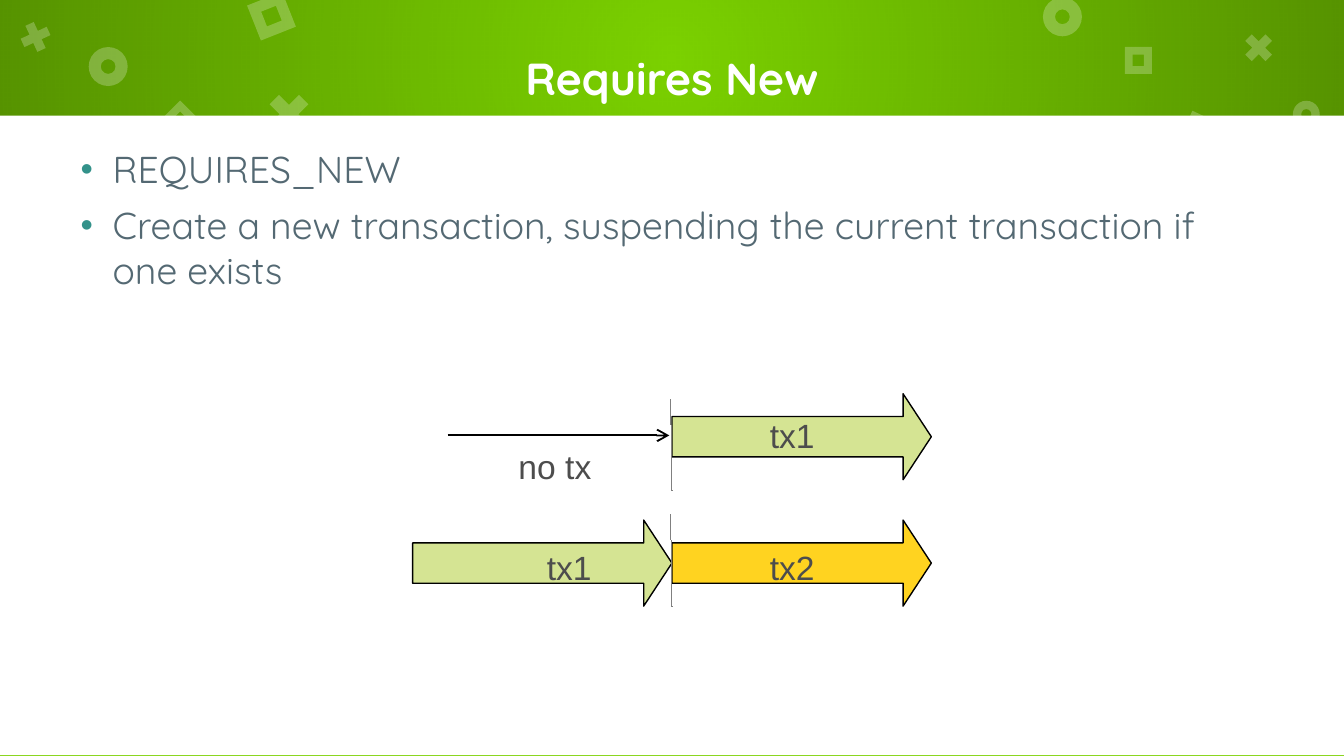
import pptx
import pptx.util
import pptx.oxml
import pptx.oxml.ns
import pptx.dml.color
import pptx.enum.shapes
import pptx.enum.text
from lxml import etree

Inches, Pt = pptx.util.Inches, pptx.util.Pt
SHAPE = pptx.enum.shapes.MSO_SHAPE
ANCHOR = pptx.enum.text.MSO_ANCHOR
qn = pptx.oxml.ns.qn

TITLE = "Requires New"
BULLETS = [
    "REQUIRES_NEW",
    "Create a new transaction, suspending the current transaction if one exists",
]
KINDS = {
    "donut": (SHAPE.DONUT, 0.31),
    "cross": (SHAPE.MATH_MULTIPLY, 0.235),
    "frame": (SHAPE.FRAME, 0.289),
}
DECORATIONS = [
    ("donut", 0.66, 0.35, 0.29, 0),
    ("cross", 1.94, 0.64, 0.42, 0),
    ("frame", 1.88, -0.02, 0.28, 338.4),
    ("donut", 7.76, -0.02, 0.29, 0),
    ("frame", 8.8, 0.87, 0.28, 25),
    ("cross", 0.12, 0.13, 0.29, 20.4),
    ("frame", 1.24, 0.79, 0.2, 45),
    ("donut", 9.62, 0.75, 0.2, 0),
    ("cross", 9.22, 0.21, 0.29, 0),
    ("frame", 8.37, 0.35, 0.2, 0),
]
ARROW = [(0, 0.17), (1.72, 0.17), (1.72, 0), (1.93, 0.32),
         (1.72, 0.64), (1.72, 0.47), (0, 0.47)]
BLOCK_ARROWS = [(5, 2.93, "D5E493"), (3.07, 3.87, "D5E493"), (5, 3.87, "FFD320")]
LINES = [
    (4.99, 2.97, 5, 3.65, "808080", 0.01, False),
    (3.33, 3.24, 4.98, 3.24, "000000", 1, True),
    (4.99, 3.83, 5, 4.51, "808080", 0.01, False),
]
LABELS = [
    ("tx1", 3.97, 4.02, 0.54),
    ("tx2", 5.63, 4.02, 0.54),
    ("tx1", 5.63, 3.04, 0.54),
    ("no tx", 3.76, 3.27, 0.87),
]
TITLE_FONT = {"name": "Quicksand", "size": Pt(24), "bold": True}
BODY_FONT = {"name": "Quicksand", "size": Pt(20)}
LABEL_FONT = {"name": "Arial", "size": Pt(18)}


def rgb(value):
    return pptx.dml.color.RGBColor.from_string(value)


def add_xml(parent, tag, **attributes):
    return etree.SubElement(parent, qn(tag), attributes)


def fill_shape(sp, color, line=None):
    sp.shadow.inherit = False
    sp.fill.solid()
    sp.fill.fore_color.rgb = rgb(color)
    if line is None:
        sp.line.fill.background()
    else:
        sp.line.color.rgb = rgb("000000")
        sp.line.width = Pt(line)


def set_frame(tf, side, top, wrap, anchor=ANCHOR.TOP):
    values = {"margin_left": Inches(side), "margin_right": Inches(side),
              "margin_top": Inches(top), "margin_bottom": Inches(top),
              "word_wrap": wrap, "vertical_anchor": anchor,
              "auto_size": pptx.enum.text.MSO_AUTO_SIZE.NONE}
    for name, value in values.items():
        setattr(tf, name, value)


def write(p, text, font, color):
    r = p.add_run()
    r.text = text
    for name, value in font.items():
        setattr(r.font, name, value)
    r.font.color.rgb = rgb(color)


def add_band(s):
    sp = s.shapes.add_shape(SHAPE.RECTANGLE, 0, 0, Inches(10), Inches(0.86))
    fill_shape(sp, "000000")
    props = sp.element.spPr
    gradient = etree.Element(qn("a:gradFill"), rotWithShape="1")
    stops = add_xml(gradient, "a:gsLst")
    for position, alpha in (("0", "0"), ("100000", "30000")):
        stop = add_xml(stops, "a:gs", pos=position)
        add_xml(add_xml(stop, "a:srgbClr", val="000000"), "a:alpha", val=alpha)
    circle = add_xml(gradient, "a:path", path="circle")
    add_xml(circle, "a:fillToRect", **dict.fromkeys("ltrb", "50000"))
    props.replace(props.find(qn("a:solidFill")), gradient)
    panel = s.shapes.add_shape(SHAPE.RECTANGLE, 0, Inches(0.86), Inches(10), Inches(4.76))
    fill_shape(panel, "FFFFFF")


def add_decorations(s):
    for kind, x, y, size, angle in DECORATIONS:
        preset, adjustment = KINDS[kind]
        sp = s.shapes.add_shape(preset, *map(Inches, (x, y, size, size)))
        sp.adjustments[0] = adjustment
        sp.rotation = angle
        fill_shape(sp, "FFFFFF")
        add_xml(sp.element.spPr.find(".//" + qn("a:srgbClr")), "a:alpha", val="24000")


def add_title(s):
    title = s.shapes.title
    s.shapes.element.append(title.element)
    title.left, title.top, title.width, title.height = map(Inches, (0.95, 0, 8.1, 1.16))
    set_frame(title.text_frame, 0.1, 0.1, True, ANCHOR.MIDDLE)
    p = title.text_frame.paragraphs[0]
    p.alignment = pptx.enum.text.PP_ALIGN.CENTER
    write(p, TITLE, TITLE_FONT, "FFFFFF")


def add_bullets(s):
    tf = s.shapes.add_textbox(*map(Inches, (0.5, 0.99, 9, 1.3))).text_frame
    set_frame(tf, 0.1, 0.1, True)
    for i, text in enumerate(BULLETS):
        p = tf.add_paragraph() if i else tf.paragraphs[0]
        p.space_before = Pt(6)
        write(p, text, BODY_FONT, "546973")
        props = p._p.get_or_add_pPr()
        props.set("marL", str(Inches(0.24)))
        props.set("indent", str(Inches(-0.24)))
        add_xml(add_xml(props, "a:buClr"), "a:srgbClr", val="33928A")
        add_xml(props, "a:buFont", typeface="Quicksand")
        add_xml(props, "a:buChar", char="•")


def add_block_arrow(s, x, y, color):
    points = [(Inches(x + dx), Inches(y + dy)) for dx, dy in ARROW]
    builder = s.shapes.build_freeform(*points[0])
    builder.add_line_segments(points[1:], close=True)
    fill_shape(builder.convert_to_shape(), color, 0.75)


def add_line(s, x1, y1, x2, y2, color, width, head):
    line = s.shapes.add_connector(pptx.enum.shapes.MSO_CONNECTOR.STRAIGHT,
                                  *map(Inches, (x1, y1, x2, y2)))
    line.line.color.rgb = rgb(color)
    line.line.width = Pt(width)
    props = line.element.spPr
    if head:
        add_xml(props.find(qn("a:ln")), "a:tailEnd", type="arrow")
    add_xml(props, "a:effectLst")


def add_diagram(s):
    add_block_arrow(s, *BLOCK_ARROWS[0])
    for line in LINES[:2]:
        add_line(s, *line)
    for arrow in BLOCK_ARROWS[1:]:
        add_block_arrow(s, *arrow)
    add_line(s, *LINES[2])
    for text, x, y, width in LABELS:
        tf = s.shapes.add_textbox(*map(Inches, (x, y, width, 0.4))).text_frame
        set_frame(tf, 0.1, 0.05, False)
        write(tf.paragraphs[0], text, LABEL_FONT, "4D4D4D")


def main():
    prs = pptx.Presentation()
    prs.slide_width = Inches(10)
    prs.slide_height = prs.slide_width * 9 // 16
    s = prs.slides.add_slide(prs.slide_layouts[5])
    s.background.fill.solid()
    s.background.fill.fore_color.rgb = rgb("7BD100")
    for build in (add_band, add_decorations, add_title, add_bullets, add_diagram):
        build(s)
    prs.save("out.pptx")


if __name__ == "__main__":
    main()
